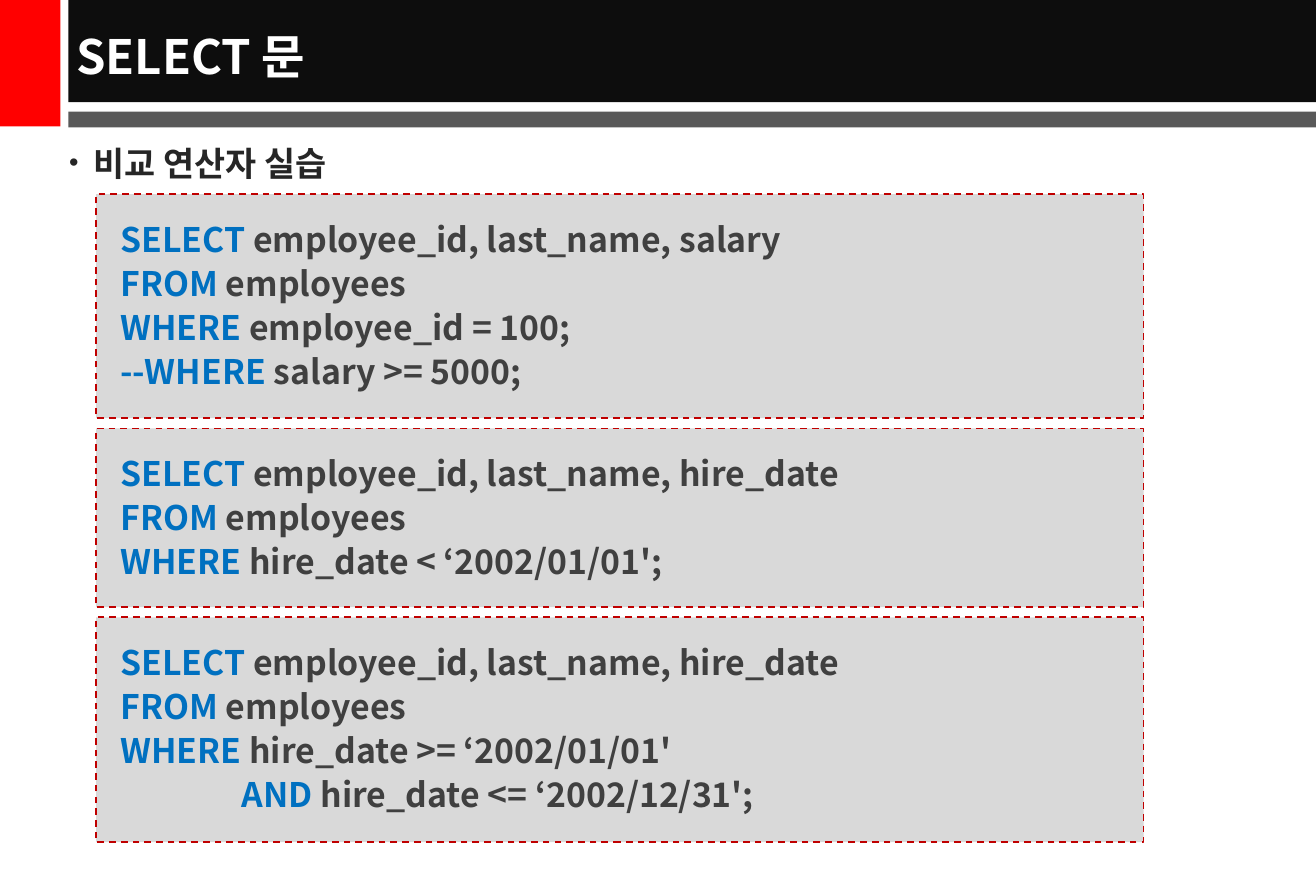
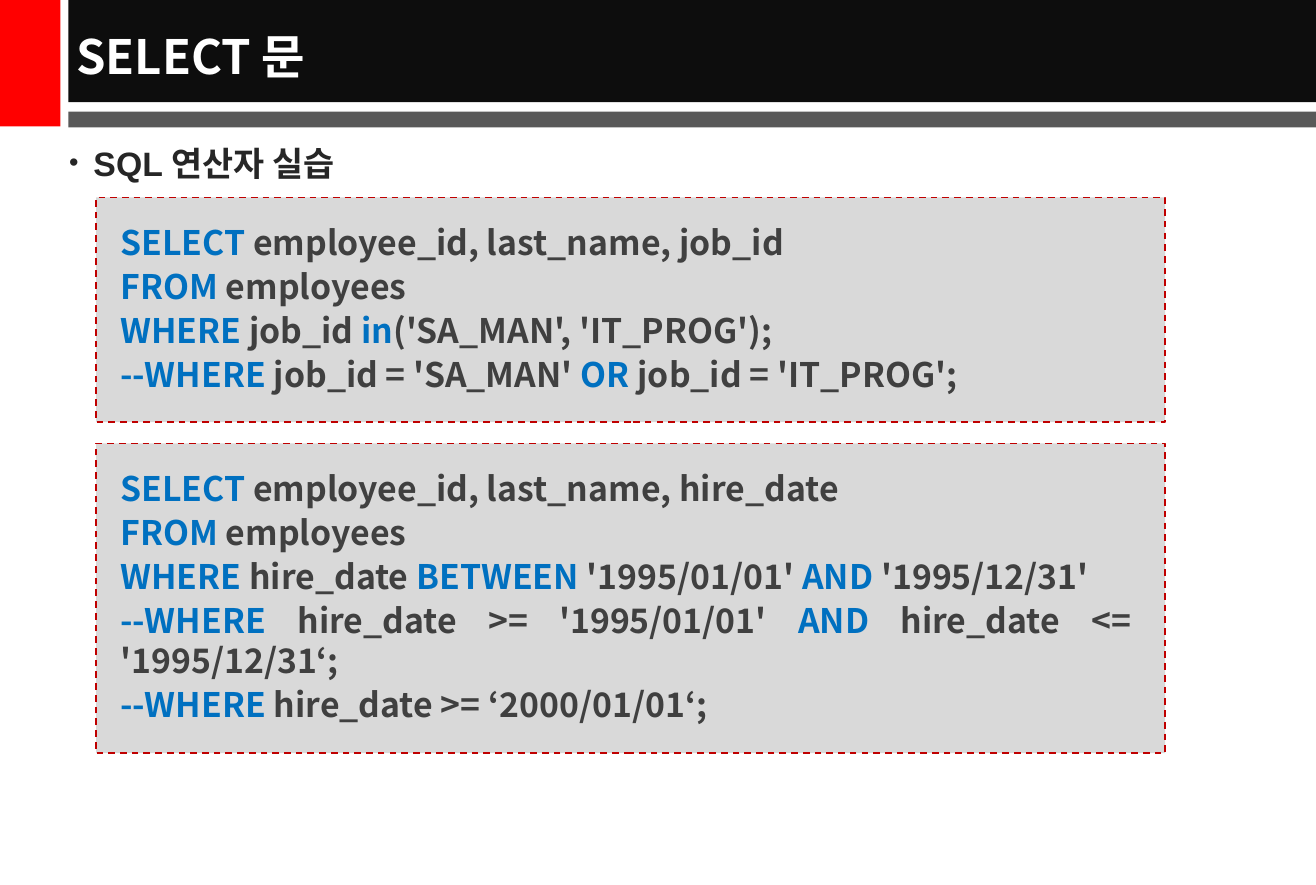
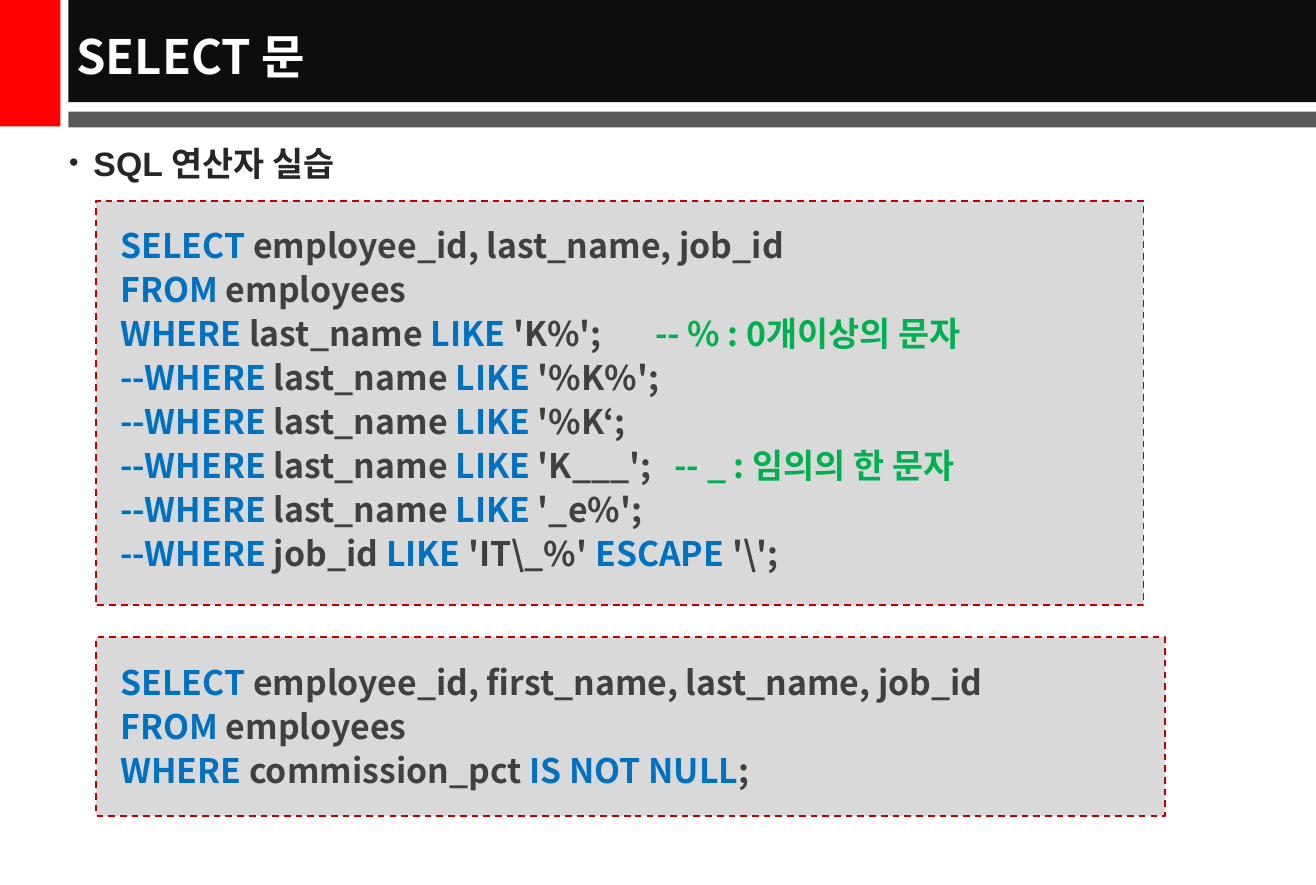
from lxml.etree import SubElement
from pptx import Presentation
from pptx.dml.color import RGBColor
from pptx.enum.dml import MSO_LINE_DASH_STYLE as Dash
from pptx.enum.shapes import MSO_SHAPE as Preset
from pptx.enum.text import MSO_ANCHOR as Anchor, PP_ALIGN as Align
from pptx.oxml.ns import qn
from pptx.util import Inches, Pt

COLORS = {
    "accent": "FF0000", "banner": "0D0D0D", "rule": "595959",
    "title": "FFFFFF", "heading": "262626", "panel": "D9D9D9",
    "border": "C00000", "keyword": "0070C0", "code": "404040",
    "comment": "00B050",
}
KOREAN = "Noto Sans CJK KR"
BANDS = (
    ("accent", (0, 0, 4.6, 14.3)),
    ("banner", (5.2, 0, 94.8, 11.54)),
    ("rule", (5.2, 12.6, 94.8, 1.8)),
)
PANEL_LEFT, NARROW, WIDE = 7.3, 79.6, 81.25


def rgb(role):
    return RGBColor.from_string(COLORS[role])


class Deck:
    """Holds the deck style and the current slide; places are percent of the slide size."""

    def __init__(self, width, height):
        self.prs = Presentation()
        self.prs.slide_width, self.prs.slide_height = Inches(width), Inches(height)
        self.slide = None

    def place(self, box):
        sizes = (self.prs.slide_width, self.prs.slide_height) * 2
        return [round(size * share / 100) for size, share in zip(sizes, box)]

    def rect(self, box, fill):
        shape = self.slide.shapes.add_shape(Preset.RECTANGLE, *self.place(box))
        shape.shadow.inherit = False
        shape.fill.solid()
        shape.fill.fore_color.rgb = rgb(fill)
        shape.line.fill.background()
        return shape

    def style(self, run, size, role, latin=KOREAN):
        font = run.font
        font.size, font.bold, font.name = Pt(size), True, latin
        font.color.rgb = rgb(role)
        SubElement(font._element, qn("a:ea"), typeface=KOREAN)

    def label(self, box, text, size, role, leading, latin=KOREAN):
        frame = self.slide.shapes.add_textbox(*self.place(box)).text_frame
        frame.word_wrap = True
        frame.text = text
        paragraph = frame.paragraphs[0]
        paragraph.line_spacing = Pt(leading)
        self.style(paragraph.runs[0], size, role, latin)
        return frame

    def page(self, title, heading):
        self.slide = self.prs.slides.add_slide(self.prs.slide_layouts[6])
        for role, box in BANDS:
            self.rect(box, role)
        banner = self.label((4.9, 0.3, 95.1, 11.25), title, 28, "title", 37)
        banner.vertical_anchor = Anchor.MIDDLE
        self.bullet(heading)

    def bullet(self, text):
        frame = self.label((4.35, 15.4, 91.5, 6), text, 20, "heading", 24, "Arial")
        paragraph = frame.paragraphs[0]
        paragraph.space_before = Pt(2)
        props = paragraph._p.get_or_add_pPr()
        props.set("marL", str(Inches(0.2)))
        props.set("indent", str(-Inches(0.2)))
        SubElement(props, qn("a:buSzPct"), val="80000")
        SubElement(props, qn("a:buFont"), typeface="Arial")
        SubElement(props, qn("a:buChar"), char="•")

    def code(self, top, width, height, lines, stops={}):
        panel = self.rect((PANEL_LEFT, top, width, height), "panel")
        panel.line.color.rgb = rgb("border")
        panel.line.width = Pt(1)
        panel.line.dash_style = Dash.DASH
        frame = panel.text_frame
        frame.word_wrap = True
        frame.vertical_anchor = Anchor.TOP
        frame.margin_left = frame.margin_top = frame.margin_bottom = Inches(0.2)
        frame.margin_right = Inches(0.28)
        for number, line in enumerate(lines):
            paragraph = frame.add_paragraph() if number else frame.paragraphs[0]
            self.code_line(paragraph, line, stops.get(number))

    def code_line(self, paragraph, line, stop):
        paragraph.alignment = Align.JUSTIFY
        paragraph.line_spacing, paragraph.space_before = Pt(24), Pt(2)
        if stop:
            tabs = SubElement(paragraph._p.get_or_add_pPr(), qn("a:tabLst"))
            SubElement(tabs, qn("a:tab"), pos=str(Inches(stop)), algn="l")
        statement, mark, remark = line.partition("\t-- ")
        parts = [(text, "keyword" if index % 2 else "code")
                 for index, text in enumerate(statement.split("|"))]
        for text, role in parts + [(mark + remark, "comment")]:
            if text:
                run = paragraph.add_run()
                run.text = text
                self.style(run, 20, role)


def query(columns, *conditions):
    return [f"|SELECT |{columns}", "|FROM |employees", *conditions]


def main():
    deck = Deck(10.83, 7.28)
    title = "SELECT 문"
    hired = "employee_id, last_name, hire_date"
    jobs = "employee_id, last_name, job_id"

    deck.page(title, "비교 연산자 실습")
    deck.code(21.95, NARROW, 25.3, query(
        "employee_id, last_name, salary",
        "|WHERE |employee_id = 100;",
        "|--WHERE |salary >= 5000;"))
    deck.code(48.4, NARROW, 20.2, query(
        hired, "|WHERE |hire_date < ‘2002/01/01';"))
    deck.code(69.75, NARROW, 25.4, query(
        hired,
        "|WHERE |hire_date >= ‘2002/01/01'",
        "|\tAND |hire_date <= ‘2002/12/31';"), {3: 1})

    deck.page(title, "SQL 연산자 실습")
    deck.code(22.3, WIDE, 25.4, query(
        jobs,
        "|WHERE |job_id| in|('SA_MAN', 'IT_PROG');",
        "|--WHERE |job_id = 'SA_MAN' |OR |job_id = 'IT_PROG';"))
    deck.code(50.1, WIDE, 35, query(
        hired,
        "|WHERE |hire_date| BETWEEN |'1995/01/01'| AND |'1995/12/31'",
        "|--WHERE |hire_date >= '1995/01/01'| AND |hire_date <= '1995/12/31‘;",
        "|--WHERE |hire_date >= ‘2000/01/01‘;"))

    deck.page(title, "SQL 연산자 실습")
    deck.code(22.7, NARROW, 45.7, query(
        jobs,
        "|WHERE |last_name| LIKE |'K%';\t-- % : 0개이상의 문자",
        "|--WHERE |last_name |LIKE |'%K%';",
        "|--WHERE |last_name |LIKE |'%K‘;",
        "|--WHERE |last_name |LIKE |'K___';\t-- _ : 임의의 한 문자",
        "|--WHERE |last_name |LIKE |'_e%';",
        "|--WHERE |job_id |LIKE |'IT\\_%' |ESCAPE |'\\';"), {2: 4.4, 5: 4.56})
    deck.code(72, WIDE, 20.2, query(
        "employee_id, first_name, last_name, job_id",
        "|WHERE |commission_pct |IS NOT NULL|;"))

    deck.prs.save("out.pptx")


if __name__ == "__main__":
    main()
